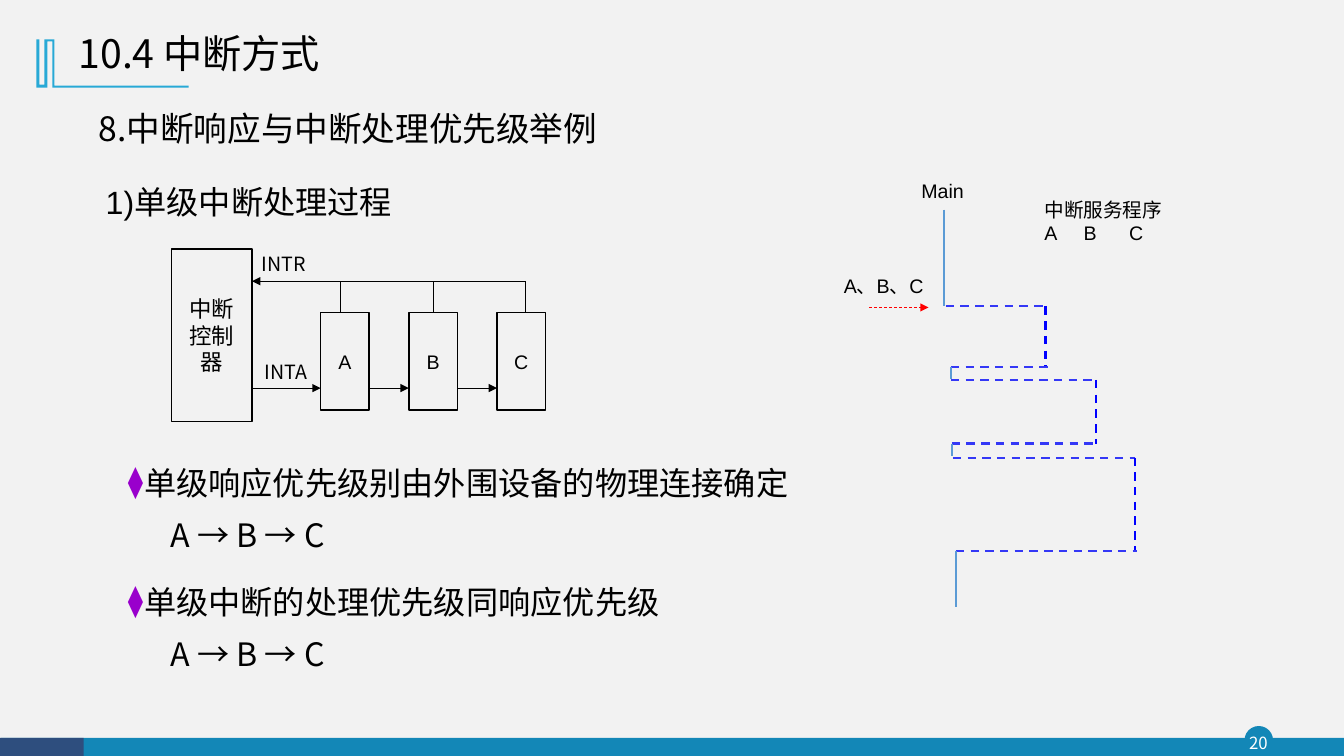
import pptx
import pptx.util
import pptx.dml.color
import pptx.enum.dml
import pptx.enum.shapes
import pptx.enum.text
import pptx.oxml.ns
from dataclasses import dataclass
from lxml import etree

ALIGN = pptx.enum.text.PP_ALIGN
ANCHOR = pptx.enum.text.MSO_ANCHOR
SHAPE = pptx.enum.shapes.MSO_SHAPE
qn = pptx.oxml.ns.qn


@dataclass
class Theme:
    back: str = "F2F2F2"
    ink: str = "000000"
    white: str = "FFFFFF"
    teal: str = "1387B7"
    navy: str = "2E4E7E"
    sky: str = "28A9D6"
    main: str = "5B9BD5"
    side: str = "3438F6"
    down: str = "0000FF"
    alert: str = "FF0000"
    mark: str = "9900CC"
    sans: str = "Noto Sans CJK SC"
    head_font: str = "Noto Sans CJK JP"
    latin: str = "Arial"
    title: int = 28
    head: int = 24
    body: int = 23
    box: int = 16
    label: int = 14
    page: int = 12


def color(code):
    return pptx.dml.color.RGBColor.from_string(code)


def put(item, values):
    for name, value in values.items():
        setattr(item, name, value)


def add(parent, tag, **values):
    return etree.SubElement(parent, qn(tag), values)


class Deck:
    """Draws on a grid of 133.3 columns by 75 rows, ten to the inch."""

    def __init__(self, theme):
        self.theme = theme
        self.show = pptx.Presentation()
        put(self.show, {"slide_width": self.unit(133.3), "slide_height": self.unit(75)})
        self.slide = self.show.slides.add_slide(self.show.slide_layouts[5])
        self.shapes = self.slide.shapes
        fill = self.slide.background.fill
        fill.solid()
        fill.fore_color.rgb = color(theme.back)

    def unit(self, cells):
        return pptx.util.Inches(cells / 10)

    def units(self, cells):
        return [self.unit(c) for c in cells]

    def letter(self, shape, rows, size, font=None, ink=None, align=ALIGN.LEFT,
               anchor=ANCHOR.TOP, space=None, inset=None):
        frame = shape.text_frame
        put(frame, {"word_wrap": True, "vertical_anchor": anchor,
                    "auto_size": pptx.enum.text.MSO_AUTO_SIZE.NONE})
        if inset is not None:
            put(frame, dict.fromkeys(("margin_left", "margin_right", "margin_top",
                                      "margin_bottom"), inset))
        face = font or self.theme.sans
        for i, row in enumerate(rows):
            para = frame.paragraphs[0] if i == 0 else frame.add_paragraph()
            put(para, {"alignment": align, "line_spacing": space})
            run = para.add_run()
            run.text = row
            put(run.font, {"size": pptx.util.Pt(size), "name": face})
            run.font.color.rgb = color(ink or self.theme.ink)
            east = self.theme.sans if face == self.theme.latin else face
            add(run._r.get_or_add_rPr(), "a:ea", typeface=east)
        return frame.paragraphs

    def text(self, at, rows, size, **style):
        return self.letter(self.shapes.add_textbox(*self.units(at)), rows, size, **style)

    def title(self, at, words):
        shape = self.shapes.title
        put(shape, dict(zip(("left", "top", "width", "height"), self.units(at))))
        self.letter(shape, [words], self.theme.title, anchor=ANCHOR.MIDDLE, space=0.9)

    def paint(self, shape, fill=None, edge=None):
        shape.shadow.inherit = False
        for part, code in ((shape.fill, fill), (shape.line.fill, edge)):
            if code:
                part.solid()
                part.fore_color.rgb = color(code)
            else:
                part.background()
        if edge:
            shape.line.width = pptx.util.Pt(1)
        return shape

    def block(self, kind, at, fill=None, edge=None):
        return self.paint(self.shapes.add_shape(kind, *self.units(at)), fill, edge)

    def node(self, at, word, size, font):
        box = self.block(SHAPE.RECTANGLE, at, edge=self.theme.ink)
        self.letter(box, [word], size, font=font, align=ALIGN.CENTER, anchor=ANCHOR.MIDDLE)

    def outline(self, points, fill):
        dots = [tuple(self.units(p)) for p in points]
        pen = self.shapes.build_freeform(*dots[0])
        pen.add_line_segments(dots[1:], close=True)
        self.paint(pen.convert_to_shape(), fill)

    def line(self, start, end, ink=None, width=0.5, dash=False, arrow=False):
        kind = pptx.enum.shapes.MSO_CONNECTOR.STRAIGHT
        link = self.shapes.add_connector(kind, *self.units(start + end))
        link.line.color.rgb = color(ink or self.theme.ink)
        link.line.width = pptx.util.Pt(width)
        if dash:
            link.line.dash_style = pptx.enum.dml.MSO_LINE.DASH
        if arrow:
            add(link.line._get_or_add_ln(), "a:tailEnd", type="triangle")
        add(link._element.spPr, "a:effectLst")

    def point(self, at, words, order):
        t = self.theme
        top, low = self.text(at, [words, order], t.body, space=1.35)
        props = top._p.get_or_add_pPr()
        gap = self.unit(1.6)
        for name, value in (("marL", gap), ("indent", -gap)):
            props.set(name, str(value))
        add(add(props, "a:buClr"), "a:srgbClr", val=t.mark)
        add(props, "a:buSzPct", val="96000")
        add(props, "a:buFont", typeface=t.latin)
        add(props, "a:buChar", char="⧫")
        low._p.get_or_add_pPr().set("marL", str(self.unit(4.2)))

    def tabs(self, para, stops):
        group = add(para._p.get_or_add_pPr(), "a:tabLst")
        for stop in stops:
            add(group, "a:tab", pos=str(self.unit(stop)), algn="l")


def main():
    t = Theme()
    deck = Deck(t)

    # Footer bar and page number
    deck.block(SHAPE.OVAL, (123.5, 72.1, 2.7, 2.7), t.teal, t.teal)
    deck.block(SHAPE.RECTANGLE, (0.1, 73.2, 133.2, 1.8), t.teal)
    deck.block(SHAPE.RECTANGLE, (0, 73.2, 8.3, 1.8), t.navy)
    deck.text((123.2, 72.1, 3.2, 3.1), ["20"], t.page, ink=t.white,
              align=ALIGN.CENTER, anchor=ANCHOR.MIDDLE, inset=0)

    # Title, its ornament and the headings
    deck.outline([(5.4, 3.9), (5.4, 8.5), (18.7, 8.5), (18.7, 8.7), (5.2, 8.7),
                  (5.2, 4.1), (4.7, 4.1), (4.7, 8.7), (3.6, 8.7), (3.6, 3.9),
                  (3.9, 3.9), (3.9, 8.4), (4.4, 8.4), (4.4, 3.9)], t.sky)
    deck.title((6.8, 2.1, 44.9, 6.8), "10.4 中断方式")
    deck.text((8.8, 10.2, 56.9, 5), ["8.中断响应与中断处理优先级举例"], t.head, font=t.head_font)
    deck.text((9.5, 17.6, 33.5, 4.9), ["1)单级中断处理过程"], t.body, font=t.latin)

    # Controller with its daisy chain of devices
    deck.node((17, 24.7, 8, 17.1), "中断控制器", t.box, t.sans)
    deck.line((52.1, 27.9), (25, 27.9), arrow=True)
    for word, left, top in (("INTR", 25, 24.5), ("INTA", 25.3, 35.2)):
        deck.text((left, top, 7.7, 3.4), [word], t.label)
    last = 25
    for i, name in enumerate("ABC"):
        left = 31.8 + 8.75 * i
        drop = 33.8 + 9.15 * i
        deck.node((left, 31, 4.8, 9.7), name, t.label, t.latin)
        deck.line((drop, 27.9), (drop, 31))
        deck.line((last, 38.5), (left, 38.5), arrow=True)
        last = left + 4.8

    # Priority rules
    for top, words in ((44.1, "单级响应优先级别由外围设备的物理连接确定"),
                       (55.9, "单级中断的处理优先级同响应优先级")):
        deck.point((11.7, top, 68.5, 11.5), words, "A → B → C")

    # Timeline: main program and the service routines it visits
    deck.text((90.4, 17.3, 6.3, 3.4), ["Main"], t.label, font=t.latin)
    deck.line((93.6, 20.8), (93.6, 30.4), t.main, 1.5)
    deck.text((82.7, 26.7, 10.1, 3.5), ["A、B、C"], t.label, font=t.latin)
    deck.line((86.2, 30.5), (92.1, 30.5), t.alert, dash=True, arrow=True)
    visits = [(93.8, 103.7, 30.4, 94.3, 36.4, 37.6),
              (94.3, 108.7, 37.7, 94.4, 44, 45.2),
              (94.5, 112.6, 45.4, 94.8, 54.7, 60.2)]
    for start, right, top, back, low, rest in visits:
        deck.line((start, top), (right, top), t.side, 1.5, dash=True)
        deck.line((right, top), (right, low), t.down, 1.5, dash=True)
        deck.line((back, low), (right + 0.2, low), t.side, 1.5, dash=True)
        deck.line((back, low), (back, rest), t.main, 1.5)
    rows = deck.text((102.6, 19.1, 15.5, 5.7), ["中断服务程序", "A\tB\tC"],
                     t.label, font=t.latin)
    deck.tabs(rows[1], (3.9, 8.4))

    deck.show.save("out.pptx")


if __name__ == "__main__":
    main()
